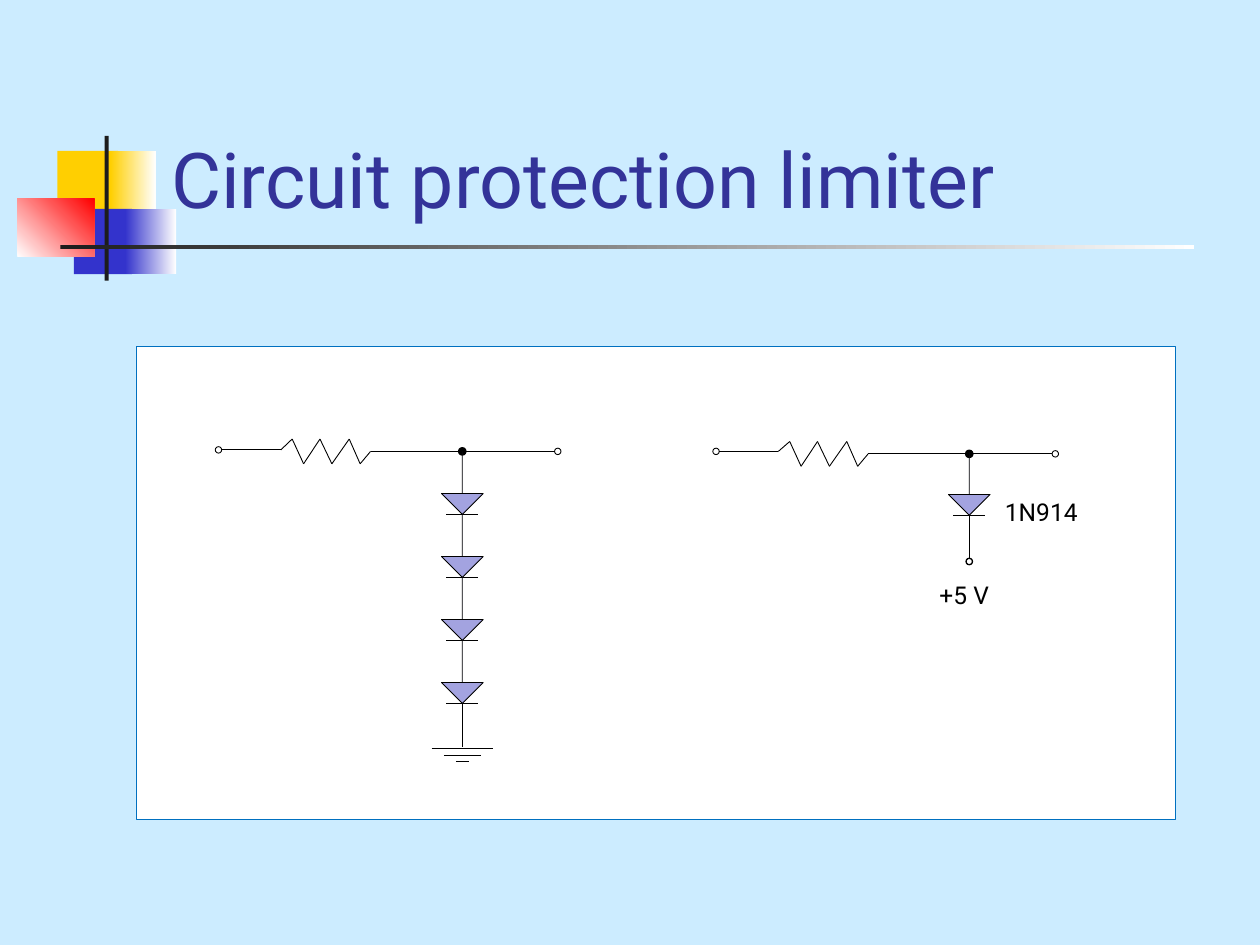
from itertools import pairwise

from lxml import etree
from pptx import Presentation
from pptx.dml.color import RGBColor
from pptx.enum.shapes import MSO_CONNECTOR, MSO_SHAPE as SHAPE
from pptx.enum.text import MSO_ANCHOR as ANCHOR
from pptx.oxml.ns import qn
from pptx.util import Cm, Pt

COLORS = {
    "background": "CCECFF", "white": "FFFFFF", "black": "000000",
    "title": "333399", "yellow": "FFCF01", "blue": "3333CC", "red": "FF0000",
    "dark": "1C1C1C", "border": "0070C0", "diode": "A3A3E0",
}
FONT = "Roboto"
DOT = 0.13
DIODE_WIDTH, DIODE_PITCH = 0.84, 1.27
RESISTOR_XS = (1.19, 1.42, 1.65, 1.98, 2.22, 2.57, 2.79, 3.0)
RESISTOR_HEIGHT = 0.25


def color(name):
    return RGBColor.from_string(COLORS[name])


def add_shape(page, kind, left, top, width, height, fill=None, line=None, weight=0.5):
    shape = page.shapes.add_shape(kind, Cm(left), Cm(top), Cm(width), Cm(height))
    shape.shadow.inherit = False
    if fill:
        shape.fill.solid()
        shape.fill.fore_color.rgb = color(fill)
    else:
        shape.fill.background()
    if line:
        shape.line.color.rgb = color(line)
        shape.line.width = Pt(weight)
    else:
        shape.line.fill.background()
    return shape


def add_gradient(page, left, top, width, height, start, end, angle=0):
    shape = add_shape(page, SHAPE.RECTANGLE, left, top, width, height)
    shape.fill.gradient()
    shape.fill.gradient_angle = angle
    for stop, name in zip(shape.fill.gradient_stops, (start, end)):
        stop.color.rgb = color(name)


def add_wire(page, start, end):
    wire = page.shapes.add_connector(
        MSO_CONNECTOR.STRAIGHT, *(Cm(value) for value in (*start, *end)))
    wire.line.color.rgb = color("black")
    wire.line.width = Pt(0.5)
    etree.SubElement(wire._element.spPr, qn("a:effectLst"))


def add_dot(page, x, y, fill=None, weight=0.5):
    """Place a terminal or junction centred on x, y."""
    add_shape(page, SHAPE.OVAL, x - DOT / 2, y - DOT / 2, DOT, DOT, fill, "black", weight)


def add_text(page, text, left, top, width, height, size, tone, anchor=ANCHOR.TOP):
    box = page.shapes.add_textbox(Cm(left), Cm(top), Cm(width), Cm(height))
    frame = box.text_frame
    frame.word_wrap = True
    frame.vertical_anchor = anchor
    span = frame.paragraphs[0].add_run()
    span.text = text
    for name, value in {"name": FONT, "size": Pt(size)}.items():
        setattr(span.font, name, value)
    span.font.color.rgb = color(tone)


def add_ornament(page, left, top):
    """Draw the coloured squares and crossing bars beside the title."""
    add_shape(page, SHAPE.RECTANGLE, left + 0.81, top + 0.3, 1.22, 1.32, "yellow")
    add_gradient(page, left + 1.88, top + 0.3, 0.91, 1.32, "yellow", "white")
    add_shape(page, SHAPE.RECTANGLE, left + 1.14, top + 1.47, 1.17, 1.32, "blue")
    add_gradient(page, left + 2.18, top + 1.47, 1.02, 1.32, "blue", "white")
    add_gradient(page, left, top + 1.27, 1.55, 1.17, "white", "red", 45)
    add_shape(page, SHAPE.RECTANGLE, left + 1.76, top, 0.08, 2.92, "dark")
    add_gradient(page, left + 0.87, top + 2.2, 22.86, 0.09, "dark", "white")


def add_resistor_line(page, left, top, node, drop):
    """Draw input, resistor, junction and output; drop lowers the output wire."""
    line_y = top + drop
    length = 6.71
    add_dot(page, left - DOT / 2, top)
    add_wire(page, (left, top), (left + RESISTOR_XS[1 - 1], top))
    peaks = [line_y + RESISTOR_HEIGHT * (-1) ** (index + 1) for index in range(6)]
    zigzag = zip(RESISTOR_XS, [top, *peaks, line_y])
    for start, end in pairwise((left + x, y) for x, y in zigzag):
        add_wire(page, start, end)
    add_wire(page, (left + RESISTOR_XS[-1], line_y), (left + length, line_y))
    add_dot(page, left + length + DOT / 2, line_y)
    add_dot(page, node, line_y, "black", 1.25)


def add_diodes(page, center, top, count):
    """Stack diodes below the junction and return the bottom of the stack."""
    for row in range(count):
        y = top + row * DIODE_PITCH
        arrow = add_shape(page, SHAPE.DOWN_ARROW, center - DIODE_WIDTH / 2, y,
                          DIODE_WIDTH, DIODE_PITCH, "diode", "black")
        arrow.adjustments[0] = 0
        arrow.adjustments[1] = 0.5
        bar_y = y + DIODE_PITCH
        add_wire(page, (center - 0.32, bar_y), (center + 0.32, bar_y))
    return top + count * DIODE_PITCH


def add_ground(page, center, top):
    add_wire(page, (center, top), (center, top + 0.87))
    for row, half in enumerate((0.62, 0.37, 0.13)):
        y = top + 0.91 + row * 0.13
        add_wire(page, (center - half, y), (center + half, y))


def add_circuits(page, left, top, width, height):
    add_shape(page, SHAPE.RECTANGLE, left, top, width, height, "white", "border", 0.25)
    diode_top = top + 2.11

    node = left + 6.58
    add_resistor_line(page, left + 1.73, top + 2.08, node, 0.03)
    add_ground(page, node, add_diodes(page, node, diode_top, 4))

    node = left + 16.8
    add_resistor_line(page, left + 11.76, top + 2.11, node, 0.05)
    bottom = add_diodes(page, node, diode_top + 0.02, 1)
    add_wire(page, (node, bottom), (node, bottom + 0.87))
    add_dot(page, node, bottom + 0.93, weight=0.75)
    for text, x, y in (("1N914", 17.27, 2.9), ("+5 V", 15.95, 4.57)):
        add_text(page, text, left + x, top + y, 2.5, 0.86, 14, "black")


def main():
    deck = Presentation()
    deck.slide_width, deck.slide_height = Cm(25.4), Cm(19.05)
    page = deck.slides.add_slide(deck.slide_layouts[6])
    page.background.fill.solid()
    page.background.fill.fore_color.rgb = color("background")
    add_ornament(page, 0.35, 2.74)
    add_text(page, "Circuit protection limiter", 3.2, 0.58, 21.64, 4.06, 44,
             "title", ANCHOR.BOTTOM)
    add_circuits(page, 2.74, 6.99, 20.96, 9.53)
    deck.save("out.pptx")


if __name__ == "__main__":
    main()
